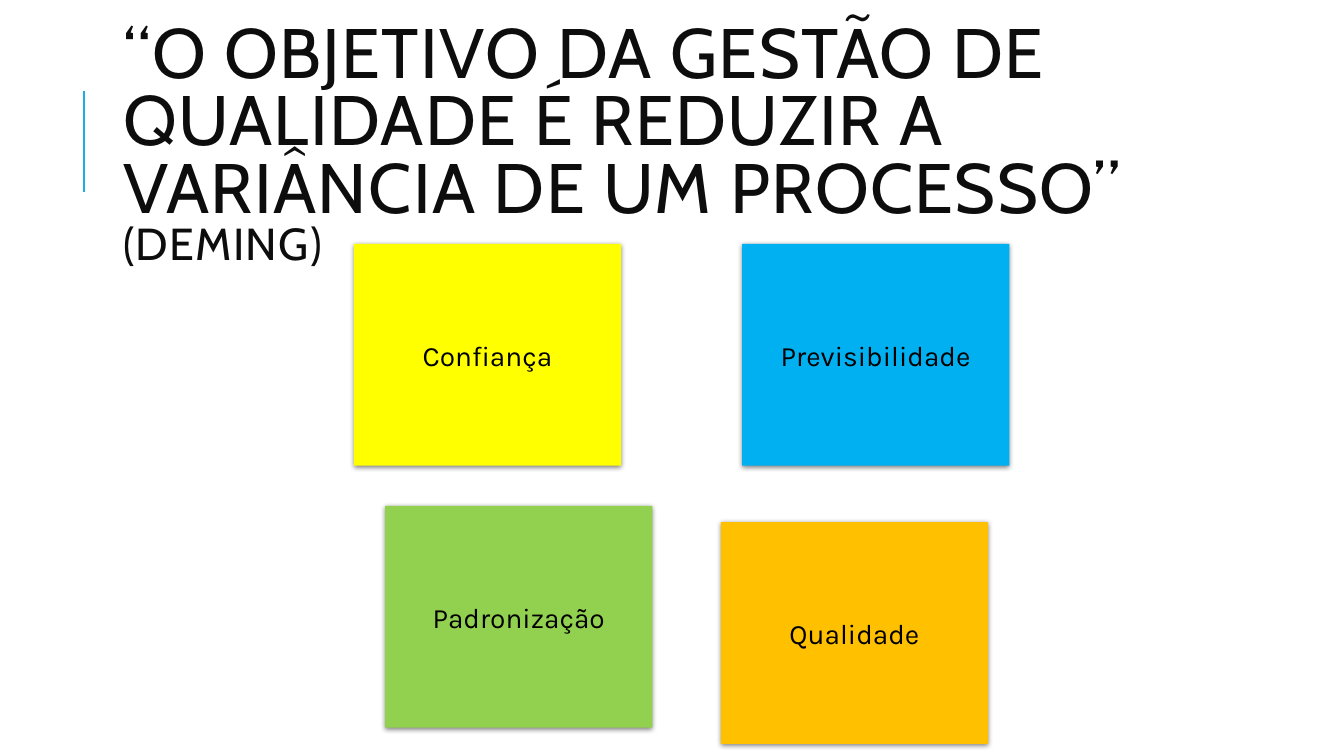
from dataclasses import dataclass

from lxml.etree import SubElement
from pptx import Presentation
from pptx.dml.color import RGBColor as Color
from pptx.enum.shapes import MSO_CONNECTOR as Link, MSO_SHAPE as Shape
from pptx.enum.text import MSO_ANCHOR as Anchor, MSO_AUTO_SIZE as Fit, PP_ALIGN as Align
from pptx.oxml.ns import qn
from pptx.util import Inches, Pt


@dataclass(frozen=True)
class Theme:
    ink: str = "0D0D0D"
    black: str = "000000"
    rule: str = "1CADE4"
    yellow: str = "FFFF00"
    blue: str = "00B0F0"
    green: str = "92D050"
    orange: str = "FFC000"
    head: str = "Cabin"
    body: str = "Karla"
    quote: int = 50
    source: int = 32
    label: int = 20


THEME = Theme()


def add_run(para, text, font, size, color):
    run = para.add_run()
    run.text = text
    run.font.name = font
    run.font.size = Pt(size)
    run.font.bold = False
    run.font.color.rgb = Color.from_string(color)
    return run


def add_rule(slide, left, top, end):
    rule = slide.shapes.add_connector(
        Link.STRAIGHT, Inches(left), Inches(end), Inches(left), Inches(top))
    rule.line.color.rgb = Color.from_string(THEME.rule)
    rule.line.width = Pt(1.5)
    SubElement(rule._element.spPr, qn("a:effectLst"))


def set_title(slide, parts):
    title = slide.shapes.title
    title.left, title.top = Inches(1.12), Inches(0.64)
    title.width, title.height = Inches(10.63), Inches(1.64)
    frame = title.text_frame
    frame.word_wrap = True
    frame.auto_size = Fit.NONE
    frame.vertical_anchor = Anchor.MIDDLE
    para = frame.paragraphs[0]
    para.alignment = Align.LEFT
    para.line_spacing = 0.8
    for text, size in parts:
        run = add_run(para, text, THEME.head, size, THEME.ink)
        run.font._element.set("spc", "100")


def add_shadow(shape):
    shape.shadow.inherit = False
    effects = shape._element.spPr.find(qn("a:effectLst"))
    outer = SubElement(effects, qn("a:outerShdw"), blurRad=str(Pt(4)),
                       dist=str(Pt(1)), dir="5400000", algn="ctr", rotWithShape="0")
    tint = SubElement(outer, qn("a:srgbClr"), val=THEME.black)
    SubElement(tint, qn("a:alpha"), val="50000")


def add_card(slide, text, left, top, color):
    card = slide.shapes.add_shape(
        Shape.ROUNDED_RECTANGLE, Inches(left), Inches(top), Inches(2.65), Inches(2.2))
    card.adjustments[0] = 0
    card.fill.solid()
    card.fill.fore_color.rgb = Color.from_string(color)
    card.line.fill.background()
    add_shadow(card)
    frame = card.text_frame
    frame.word_wrap = True
    frame.vertical_anchor = Anchor.MIDDLE
    para = frame.paragraphs[0]
    para.alignment = Align.CENTER
    add_run(para, text, THEME.body, THEME.label, THEME.black)


def main():
    deck = Presentation()
    deck.slide_width, deck.slide_height = Inches(13.33), Inches(7.5)
    slide = deck.slides.add_slide(deck.slide_layouts[5])
    add_rule(slide, 0.83, 0.9, 1.9)
    set_title(slide, [
        ("“O OBJETIVO DA GESTÃO DE QUALIDADE É REDUZIR A VARIÂNCIA DE UM PROCESSO” ",
         THEME.quote),
        ("(DEMING)", THEME.source),
    ])
    cards = [
        ("Confiança", 3.51, 2.42, THEME.yellow),
        ("Previsibilidade", 7.36, 2.42, THEME.blue),
        ("Padronização", 3.82, 5.02, THEME.green),
        ("Qualidade", 7.15, 5.18, THEME.orange),
    ]
    for card in cards:
        add_card(slide, *card)
    deck.save("out.pptx")


if __name__ == "__main__":
    main()
